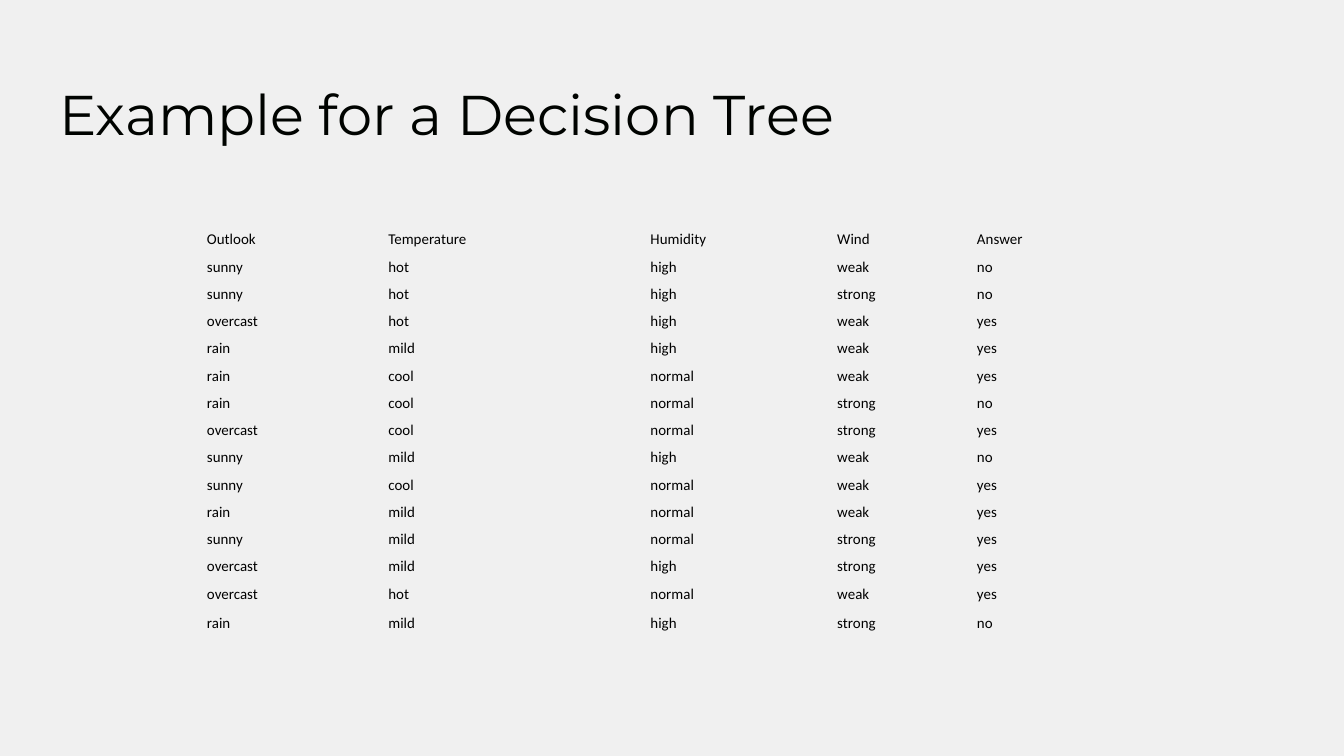
from pptx import Presentation
from pptx.dml.color import RGBColor
from pptx.enum import text
from pptx.oxml.ns import qn
from pptx.util import Inches, Pt

COLORS = {"background": "F0F0F0", "title": "000300", "cell": "000000"}
NO_STYLE_NO_GRID = "{2D5ABB26-0587-4C30-8999-92F81FD0307C}"
COLUMN_WIDTHS = [1.35, 1.95, 1.39, 1.04, 1.2]
TABLE_HEIGHT, LAST_ROW_HEIGHT = 3.06, 0.22
OBSERVATIONS = """Outlook Temperature Humidity Wind Answer
sunny hot high weak no
sunny hot high strong no
overcast hot high weak yes
rain mild high weak yes
rain cool normal weak yes
rain cool normal strong no
overcast cool normal strong yes
sunny mild high weak no
sunny cool normal weak yes
rain mild normal weak yes
sunny mild normal strong yes
overcast mild high strong yes
overcast hot normal weak yes
rain mild high strong no"""


def format_run(r, font, size, color):
    r.font.name = font
    r.font.size = Pt(size)
    r.font.color.rgb = RGBColor.from_string(COLORS[color])


prs = Presentation()
prs.slide_width = Inches(10)
prs.slide_height = Inches(10 * 9 / 16)
s = prs.slides.add_slide(prs.slide_layouts[5])
s.background.fill.solid()
s.background.fill.fore_color.rgb = RGBColor.from_string(COLORS["background"])

# Title
title = s.shapes.title
title.left, title.top = Inches(0.34), Inches(0.49)
title.width, title.height = Inches(9.32), Inches(0.63)
tf = title.text_frame
tf.text = "Example for a Decision Tree"
tf.auto_size = text.MSO_AUTO_SIZE.NONE
tf.vertical_anchor = text.MSO_ANCHOR.TOP
tf.margin_left = tf.margin_right = tf.margin_top = tf.margin_bottom = Inches(0.1)
p = tf.paragraphs[0]
p.alignment = text.PP_ALIGN.LEFT
format_run(p.runs[0], "Montserrat", 30, "title")

# Weather observations
rows = [line.split() for line in OBSERVATIONS.splitlines()]
table = s.shapes.add_table(
    len(rows), len(COLUMN_WIDTHS), Inches(1.53), Inches(1.65),
    Inches(sum(COLUMN_WIDTHS)), Inches(TABLE_HEIGHT)).table
table.first_row = table.horz_banding = False
table._tbl.tblPr.find(qn("a:tableStyleId")).text = NO_STYLE_NO_GRID

for column, width in zip(table.columns, COLUMN_WIDTHS):
    column.width = Inches(width)
for row in table.rows:
    row.height = Inches((TABLE_HEIGHT - LAST_ROW_HEIGHT) / (len(rows) - 1))
table.rows[len(rows) - 1].height = Inches(LAST_ROW_HEIGHT)

for i, values in enumerate(rows):
    for j, value in enumerate(values):
        cell = table.cell(i, j)
        cell.text = value
        cell.fill.background()
        cell.vertical_anchor = text.MSO_ANCHOR.BOTTOM
        cell.margin_left = cell.margin_right = cell.margin_top = Inches(0.01)
        cell.margin_bottom = 0
        format_run(cell.text_frame.paragraphs[0].runs[0], "Calibri", 8, "cell")

prs.save("out.pptx")
